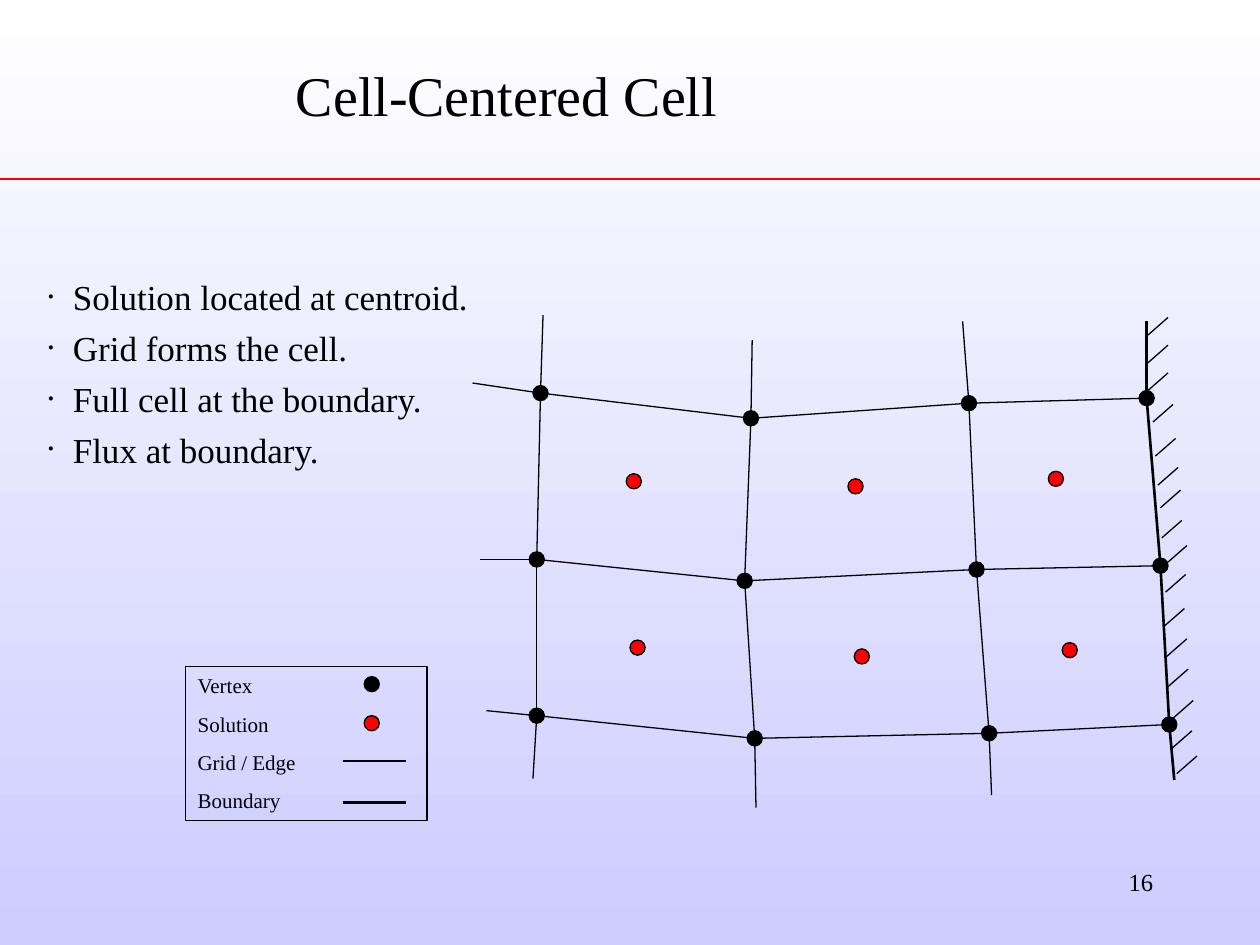
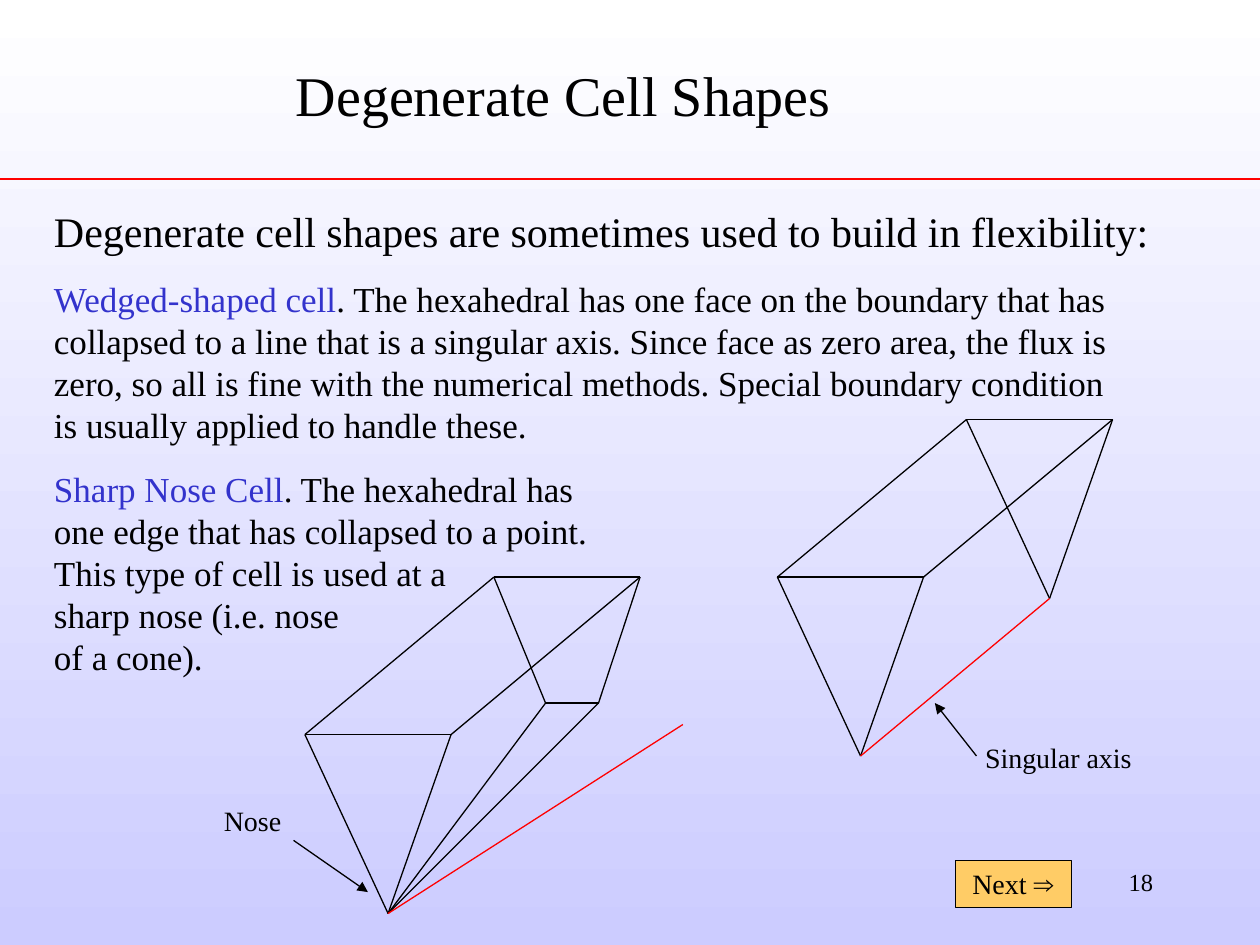
from itertools import pairwise

from lxml.etree import SubElement as Sub
from pptx import Presentation
from pptx.dml.color import RGBColor as RGB
from pptx.enum.shapes import MSO_CONNECTOR as Link, MSO_SHAPE as Form
from pptx.enum.text import MSO_ANCHOR as Anchor, PP_ALIGN as Align
from pptx.oxml.ns import qn
from pptx.util import Inches as In, Pt

# Shared look
BLACK = RGB(0, 0, 0)
WHITE = RGB(255, 255, 255)
RED = RGB(255, 0, 0)
BLUE = RGB(0x33, 0x33, 0xCC)
LILAC = RGB(0xCC, 0xCC, 0xFF)
GOLD = RGB(0xFF, 0xCC, 0x66)
FACE = "Times New Roman"
WIDE, HIGH = 10, 7.5
DOT = 0.12
THIN, BOLD = 0.75, 1.5

# Cell-centred mesh: each row runs left to right, with its loose left end first
POINTS = ["Solution located at centroid.", "Grid forms the cell.",
          "Full cell at the boundary.", "Flux at boundary."]
ROWS = [
    [(3.75, 3.04), (4.29, 3.12), (5.96, 3.32), (7.69, 3.2), (9.1, 3.16)],
    [(3.81, 4.44), (4.26, 4.44), (5.91, 4.61), (7.75, 4.52), (9.21, 4.49)],
    [(3.86, 5.64), (4.26, 5.68), (5.99, 5.86), (7.85, 5.82), (9.28, 5.75)],
]
TOPS = [(4.31, 2.5), (5.97, 2.7), (7.64, 2.55), (9.1, 2.55)]
ENDS = [(4.23, 6.18), (6, 6.41), (7.87, 6.31), (9.32, 6.19)]
CORES = [(5.03, 3.82), (6.79, 3.86), (8.38, 3.8),
         (5.06, 5.14), (6.84, 5.21), (8.49, 5.16)]
HATCH = [(9.11, 2.66), (9.11, 2.88), (9.11, 3.1), (9.15, 3.35),
         (9.17, 3.62), (9.19, 3.85), (9.21, 4.03), (9.22, 4.27),
         (9.26, 4.47), (9.25, 4.7), (9.24, 4.97), (9.26, 5.21),
         (9.27, 5.45), (9.31, 5.7), (9.3, 5.94), (9.34, 6.14)]
KEYS = ["Vertex", "Solution", "Grid / Edge", "Boundary"]

# Degenerate cells: text, one list of runs for each paragraph
LEAD = "Degenerate cell shapes are sometimes used to build in flexibility:"
WEDGE = """. The hexahedral has one face on the boundary that has
collapsed to a line that is a singular axis. Since face as zero area, the flux is
zero, so all is fine with the numerical methods. Special boundary condition
is usually applied to handle these."""
SHARP = """. The hexahedral has
one edge that has collapsed to a point.
This type of cell is used at a
sharp nose (i.e. nose
of a cone)."""
STORY = [
    [(LEAD, {"size": 24})],
    [("Wedged-shaped cell", {"color": BLUE}), (WEDGE, {})],
    [("Sharp Nose Cell", {"color": BLUE}), (SHARP, {})],
]

# Corners measured from the front left one; edges name two corners
FRAME = {"A": (0, 0), "B": (1.16, 0), "N": (0.66, 1.42),
         "C": (1.5, -1.25), "D": (2.66, -1.25)}
SIDES = "AN NB BA CD AC BD"
CELLS = [
    {"at": (2.42, 5.83), "more": {"E": (1.91, -0.25), "F": (2.33, -0.25),
                                  "X": (3, -0.08)},
     "sides": "CE DF EF EN FN", "axis": "NX"},
    {"at": (6.17, 4.58), "more": {"E": (2.16, 0.17)},
     "sides": "CE DE", "axis": "NE"},
]
ARROWS = [((7.75, 6), (7.42, 5.58)), ((2.33, 6.67), (2.92, 7.08))]
LABELS = [("Singular axis", (7.58, 5.83, 1.5, 0.37)),
          ("Nose", (1.25, 6.33, 1.08, 0.37))]


def write(shape, paras, size=20, color=BLACK, align=Align.LEFT, gap=0,
          anchor=Anchor.TOP, mark=None):
    """Fill a shape; a paragraph is a string or a list of (text, format)."""
    frame = shape.text_frame
    frame.word_wrap = True
    frame.vertical_anchor = anchor
    for i, runs in enumerate(paras):
        para = frame.add_paragraph() if i else frame.paragraphs[0]
        para.alignment = align
        para.space_before = Pt(gap if i else 0)
        if mark:
            props = para._p.get_or_add_pPr()
            props.set("marL", str(In(0.22)))
            props.set("indent", str(-In(0.22)))
            Sub(props, qn("a:buFont"), typeface=FACE)
            Sub(props, qn("a:buChar"), char=mark)
        for text, look in [(runs, {})] if isinstance(runs, str) else runs:
            for j, part in enumerate(text.split("\n")):
                if j:
                    para.add_line_break()
                run = para.add_run()
                run.text = part
                run.font.name = look.get("face", FACE)
                run.font.size = Pt(look.get("size", size))
                run.font.color.rgb = look.get("color", color)


def label(slide, box, paras, **look):
    write(slide.shapes.add_textbox(*map(In, box)), paras, **look)


def shape(slide, form, box, fill=None, width=THIN):
    item = slide.shapes.add_shape(form, *map(In, box))
    item.shadow.inherit = False
    if fill is None:
        item.fill.background()
    else:
        item.fill.solid()
        item.fill.fore_color.rgb = fill
    item.line.color.rgb = BLACK
    item.line.width = Pt(width)
    return item


def dot(slide, spot, fill=BLACK):
    x, y = spot
    shape(slide, Form.OVAL, (x - DOT / 2, y - DOT / 2, DOT, DOT), fill)


def line(slide, start, end, color=BLACK, width=THIN, arrow=False):
    item = slide.shapes.add_connector(Link.STRAIGHT, *map(In, (*start, *end)))
    item.line.color.rgb = color
    item.line.width = Pt(width)
    if arrow:
        Sub(item.line._get_or_add_ln(), qn("a:tailEnd"), type="triangle")
    Sub(item._element.spPr, qn("a:effectLst"))


def start(deck, title, page):
    """Add a slide with its background, rule, title and page number."""
    slide = deck.slides.add_slide(deck.slide_layouts[6])
    fill = slide.background.fill
    fill.gradient()
    fill.gradient_angle = 270
    for stop, color in zip(fill.gradient_stops, (WHITE, LILAC)):
        stop.color.rgb = color
    line(slide, (0, 1.42), (WIDE, 1.42), RED, BOLD)
    label(slide, (2.25, 0.33, 7.33, 0.83), [title], size=32,
          anchor=Anchor.MIDDLE)
    label(slide, (7.17, 6.83, 2.08, 0.5), [str(page)], size=14,
          align=Align.RIGHT)
    return slide


def legend(slide):
    shape_box = shape(slide, Form.RECTANGLE, (1.47, 5.29, 1.92, 1.22))
    write(shape_box, KEYS, size=12, gap=7.5)
    for y, fill in ((5.43, BLACK), (5.74, RED)):
        dot(slide, (2.95, y), fill)
    for y, width in ((6.04, THIN), (6.37, BOLD)):
        line(slide, (2.72, y), (3.22, y), width=width)


def mesh(slide):
    # Grid lines, the last column being the boundary
    for row in ROWS:
        for a, b in pairwise(row):
            line(slide, a, b)
    cols = list(zip(TOPS, *(row[1:] for row in ROWS), ENDS))
    for col in cols:
        for a, b in pairwise(col):
            line(slide, a, b, width=BOLD if col is cols[-1] else THIN)
    for x, y in HATCH:
        line(slide, (x, y), (x + 0.16, y - 0.14))
    # Vertices and solution points
    for row in ROWS:
        for spot in row[1:]:
            dot(slide, spot)
    for spot in CORES:
        dot(slide, spot, RED)


def cell(slide, at, more, sides, axis):
    spots = {name: (at[0] + x, at[1] + y)
             for name, (x, y) in (FRAME | more).items()}
    for a, b in f"{SIDES} {sides}".split():
        line(slide, spots[a], spots[b])
    line(slide, spots[axis[0]], spots[axis[1]], RED)


def main():
    deck = Presentation()
    deck.slide_width, deck.slide_height = In(WIDE), In(HIGH)

    # Cell-centred cell
    slide = start(deck, "Cell-Centered Cell", 16)
    mesh(slide)
    legend(slide)
    label(slide, (0.26, 2.14, 3.74, 1.83), POINTS, gap=5, mark="·")

    # Degenerate cells
    slide = start(deck, "Degenerate Cell Shapes", 18)
    label(slide, (0.33, 1.58, 9.08, 2.25), STORY, gap=12.5)
    for part in CELLS:
        cell(slide, **part)
    for a, b in ARROWS:
        line(slide, a, b, arrow=True)
    for text, box in LABELS:
        label(slide, box, [text], size=16, align=Align.RIGHT)
    button = shape(slide, Form.RECTANGLE, (7.58, 6.83, 0.92, 0.37), GOLD, 0.25)
    write(button, [[("Next ", {}), ("⇒", {"face": "Arial"})]], size=16,
          align=Align.CENTER)

    deck.save("out.pptx")


if __name__ == "__main__":
    main()
